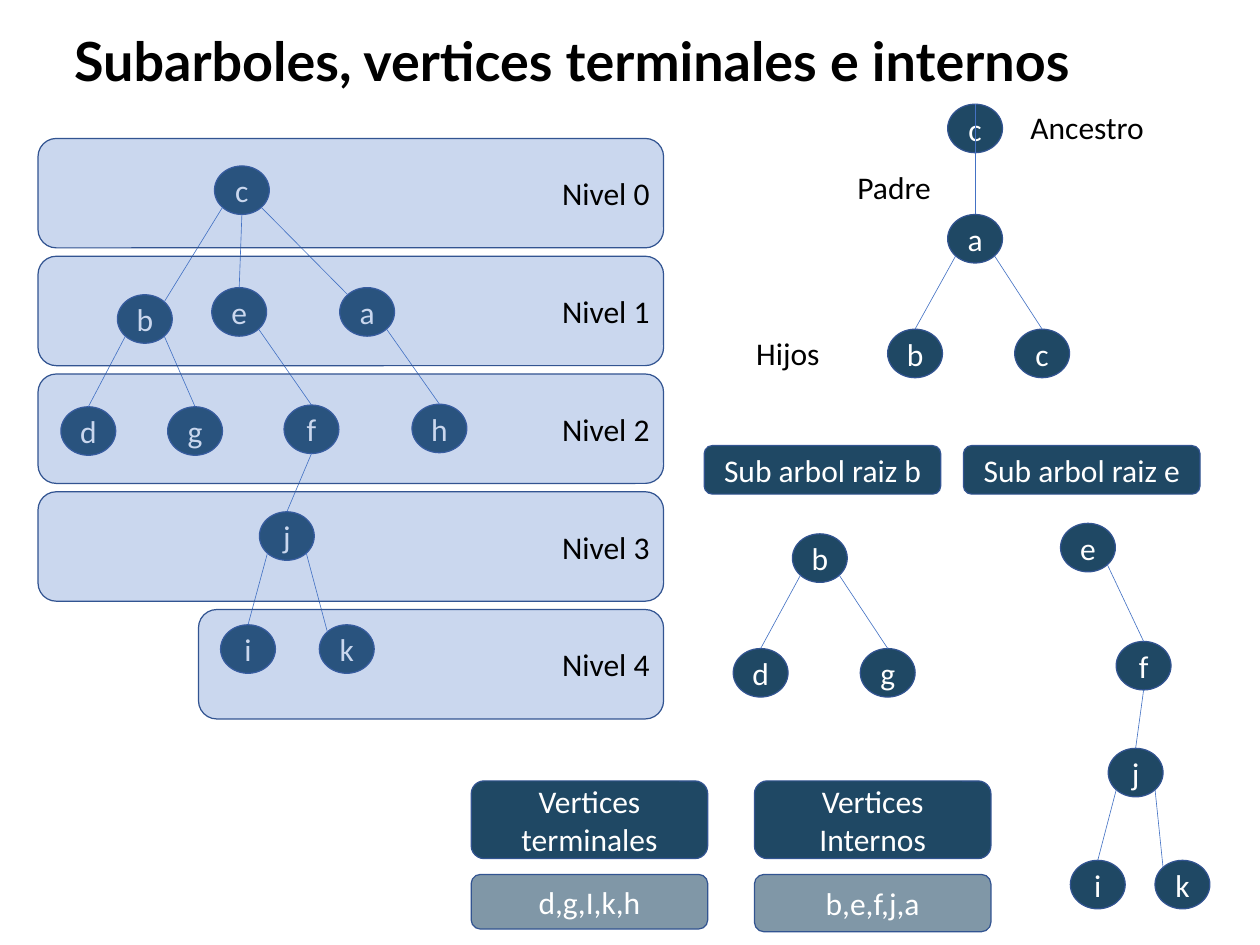
from math import cos, pi, sin

from lxml import etree
from pptx import Presentation
from pptx.dml.color import RGBColor
from pptx.enum import shapes, text
from pptx.oxml.ns import qn
from pptx.util import Pt

COLORS = {"navy": "1F4864", "outline": "325491", "blue": "4472C4",
          "grey": "8097A7", "white": "FFFFFF", "black": "000000"}
NODE_WIDTH, NODE_HEIGHT = 44.8, 39.6
HEADING_WIDTH = 193
# Points on a node's rim, in eighths of a turn from the right, clockwise.
BOTTOM_RIGHT, BOTTOM, BOTTOM_LEFT, TOP_LEFT, TOP, TOP_RIGHT = 1, 2, 3, 5, 6, 7
ALIGN = text.PP_ALIGN
OVAL = shapes.MSO_SHAPE.OVAL
ROUNDED = shapes.MSO_SHAPE.ROUNDED_RECTANGLE


def color(name):
    return RGBColor.from_string(COLORS[name])


def write(box, words, ink, align=ALIGN.LEFT, size=25.7, name="Calibri"):
    para = box.text_frame.paragraphs[0]
    para.text = words
    para.alignment = align
    para.font.size = Pt(size)
    para.font.name = name
    para.font.color.rgb = color(ink)
    return para


def add_panel(page, kind, words, left, top, width, height,
              fill="navy", ink="white", align=ALIGN.CENTER):
    """Add a filled, outlined shape with vertically centred text."""
    panel = page.shapes.add_shape(kind, Pt(left), Pt(top), Pt(width), Pt(height))
    panel.shadow.inherit = False
    panel.fill.solid()
    panel.fill.fore_color.rgb = color(fill)
    panel.line.color.rgb = color("outline")
    panel.line.width = Pt(1)
    panel.text_frame.word_wrap = True
    panel.text_frame.vertical_anchor = text.MSO_ANCHOR.MIDDLE
    write(panel, words, ink, align)
    return panel


def add_label(page, words, left, top, width):
    label = page.shapes.add_textbox(Pt(left), Pt(top), Pt(width), Pt(38.2))
    label.text_frame.word_wrap = False
    write(label, words, "black")


def rim_point(node, eighths):
    angle = eighths * pi / 4
    return (round(node.left + node.width / 2 * (1 + cos(angle))),
            round(node.top + node.height / 2 * (1 + sin(angle))))


def add_tree(page, left, top, nodes, edges):
    """Draw nodes named by their first letter, then the edges between rim points."""
    ovals = {name: add_panel(page, OVAL, name[0], left + x, top + y,
                             NODE_WIDTH, NODE_HEIGHT)
             for name, (x, y) in nodes.items()}
    for parent, leave, child, arrive in edges:
        edge = page.shapes.add_connector(
            shapes.MSO_CONNECTOR.STRAIGHT,
            *rim_point(ovals[parent], leave), *rim_point(ovals[child], arrive))
        edge.line.color.rgb = color("blue")
        edge.line.width = Pt(0.5)
        etree.SubElement(edge._element.spPr, qn("a:effectLst"))


def add_title(page, left, top, width, height):
    title = page.shapes.add_textbox(Pt(left), Pt(top), Pt(width), Pt(height))
    frame = title.text_frame
    frame.word_wrap = True
    frame.vertical_anchor = text.MSO_ANCHOR.MIDDLE
    frame.margin_left = frame.margin_top = 0
    para = write(title, "Subarboles, vertices terminales e internos", "black",
                 size=44, name="Lato")
    para.font.bold = True
    para.line_spacing = 0.9


def add_full_tree(page, left, top):
    add_tree(page, left, top, {
        "c": (144, 22.4),
        "b": (64.8, 127.5), "e": (141.8, 121.7), "a": (246.2, 121.7),
        "d": (18.7, 218.9), "g": (105.8, 218.9),
        "f": (200.8, 217.5), "h": (305.2, 216.8),
        "j": (180.7, 304.6),
        "i": (149, 396.8), "k": (229.6, 396.8),
    }, [
        ("c", BOTTOM_LEFT, "b", TOP_RIGHT),
        ("c", BOTTOM, "e", TOP),
        ("c", BOTTOM_RIGHT, "a", TOP_LEFT),
        ("b", BOTTOM_LEFT, "d", TOP),
        ("b", BOTTOM_RIGHT, "g", TOP),
        ("e", BOTTOM_RIGHT, "f", TOP),
        ("a", BOTTOM_RIGHT, "h", TOP),
        ("f", BOTTOM, "j", TOP),
        ("j", BOTTOM_LEFT, "i", TOP),
        ("j", BOTTOM_RIGHT, "k", TOP_LEFT),
    ])


def add_levels(page, left, top, width):
    """Lay translucent level bands over the full tree; the last one is shorter."""
    for level in range(5):
        indent = 131 if level == 4 else 0
        band = add_panel(page, ROUNDED, f"Nivel {level}", left + indent,
                         top + level * 96.1, width - indent, 89.3,
                         "blue", "black", ALIGN.RIGHT)
        tint = band._element.spPr.find(qn("a:solidFill"))[0]
        etree.SubElement(tint, qn("a:alpha"), val="28000")


def add_kinship(page, left, top):
    add_tree(page, left, top, {
        "c ancestro": (163.3, 0), "a": (163.3, 90),
        "b": (114.3, 183.6), "c hijo": (218, 183.6),
    }, [
        ("c ancestro", TOP, "a", TOP),
        ("a", BOTTOM_LEFT, "b", TOP),
        ("a", BOTTOM_RIGHT, "c hijo", TOP),
    ])
    add_label(page, "Ancestro", left + 223.8, top, 108)
    add_label(page, "Padre", left + 82.6, top + 48.2, 74.9)
    add_label(page, "Hijos", left, top + 184.3, 66.2)


def add_subtree(page, left, top, root, nodes, edges):
    add_panel(page, ROUNDED, f"Sub arbol raiz {root}", left, top,
              HEADING_WIDTH, NODE_HEIGHT)
    add_tree(page, left, top, nodes, edges)


def add_vertex_list(page, left, top, heading, vertices, height):
    add_panel(page, ROUNDED, heading, left, top, HEADING_WIDTH, 63.4)
    add_panel(page, ROUNDED, vertices, left, top + 76.3, HEADING_WIDTH, height, "grey")


def main():
    deck = Presentation()
    deck.slide_width, deck.slide_height = Pt(1028.16), Pt(771.12)
    page = deck.slides.add_slide(deck.slide_layouts[6])

    add_title(page, 60.5, 28.1, 920.9, 51.8)
    add_full_tree(page, 31, 113)
    add_levels(page, 31, 113, 510.5)
    add_kinship(page, 610, 85)
    add_subtree(page, 574.6, 363.6, "b", {
        "b": (72, 72), "d": (23.7, 165.6), "g": (127.4, 165.6),
    }, [
        ("b", BOTTOM_LEFT, "d", TOP),
        ("b", BOTTOM_RIGHT, "g", TOP),
    ])
    add_subtree(page, 786.2, 363.6, "e", {
        "e": (79.2, 63.4), "f": (124.6, 159.8), "j": (118.1, 247),
        "i": (87.2, 338.4), "k": (156.3, 338.4),
    }, [
        ("e", BOTTOM_RIGHT, "f", TOP),
        ("f", BOTTOM, "j", TOP),
        ("j", BOTTOM_LEFT, "i", TOP),
        ("j", BOTTOM_RIGHT, "k", TOP_LEFT),
    ])
    add_vertex_list(page, 384.5, 637.2, "Vertices terminales", "d,g,I,k,h", 44.6)
    add_vertex_list(page, 615.6, 637.2, "Vertices Internos", "b,e,f,j,a", 46.8)

    deck.save("out.pptx")


if __name__ == "__main__":
    main()
